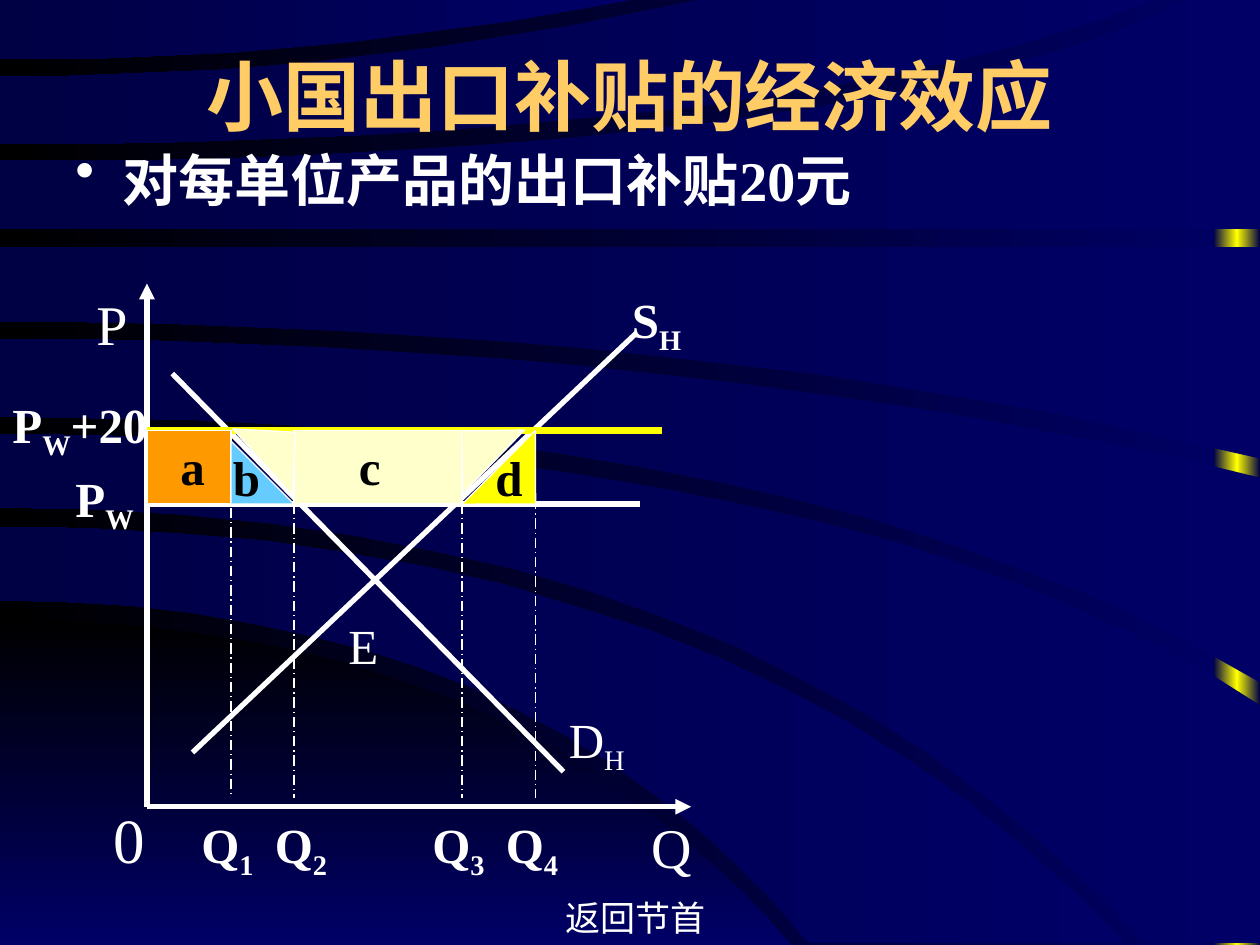
from lxml import etree
from pptx import Presentation
from pptx.dml.color import RGBColor
from pptx.enum.dml import MSO_LINE_DASH_STYLE
from pptx.enum.shapes import MSO_CONNECTOR_TYPE, MSO_SHAPE
from pptx.enum.text import MSO_ANCHOR, PP_ALIGN
from pptx.oxml.ns import qn
from pptx.util import Pt

STRAIGHT = MSO_CONNECTOR_TYPE.STRAIGHT
RECTANGLE = MSO_SHAPE.RECTANGLE
RIGHT_TRIANGLE = MSO_SHAPE.RIGHT_TRIANGLE
DASH_DOT = MSO_LINE_DASH_STYLE.LONG_DASH_DOT
TOP = MSO_ANCHOR.TOP
MIDDLE = MSO_ANCHOR.MIDDLE
LEFT = PP_ALIGN.LEFT
CENTER = PP_ALIGN.CENTER

WIDTH, HEIGHT = 720, 540
CURVE_STEPS = 16

COLOURS = {
    "white": "FFFFFF", "black": "000000", "navy": "000066", "midnight": "000044",
    "gold": "FFCC66", "yellow": "FFFF00", "orange": "FF9900", "sky": "66CCFF",
    "cream": "FFFFCC",
}

CORNER = ([(0, 354), (293, 354), (452, HEIGHT)], [(0, HEIGHT), (452, HEIGHT)])
BANDS = [
    ([(0, 301), (421, 301), (643, 539)], [(0, 343), (305, 344), (462, 539)]),
    ([(0, 248), (485, 250), (WIDTH, 403)], [(0, 290), (432, 291), (654, 539)]),
    ([(0, 194), (391, 194), (WIDTH, 273)], [(0, 238), (467, 238), (WIDTH, 390)]),
    ([(0, 141), (WIDTH, 141)], [(0, 184), (403, 184), (WIDTH, 262)]),
    ([(0, 92), (491, 92), (679, 0)], [(0, 131), (WIDTH, 131), (WIDTH, 0), (679, 0)]),
    ([(0, 44), (200, 44), (400, 0)], [(0, 82), (450, 82), (660, 0)]),
    ([(0, 0), (361, 0)], [(0, 34), (175, 35), (361, 0)]),
]


def rgb(colour):
    return RGBColor.from_string(COLOURS[colour])


def edge_points(edge):
    if len(edge) != 3:
        return edge
    points = []
    for step in range(CURVE_STEPS + 1):
        t = step / CURVE_STEPS
        weights = ((1 - t) ** 2, 2 * t * (1 - t), t ** 2)
        points.append(tuple(round(sum(weight * value for weight, value in zip(weights, axis)))
                            for axis in zip(*edge)))
    return points


class SlideBuilder:
    font_name = "Times New Roman"

    def __init__(self, slide):
        self.slide = slide

    def gradient(self, fill, element, colours, angle=180):
        fill.gradient()
        fill.gradient_angle = angle
        stops = element.find(".//" + qn("a:gsLst"))
        for stop in list(stops):
            stops.remove(stop)
        for index, colour in enumerate(colours):
            position = 100000 * index // (len(colours) - 1)
            stop = etree.SubElement(stops, qn("a:gs"), pos=str(position))
            etree.SubElement(stop, qn("a:srgbClr"), val=COLOURS[colour])

    def background(self, colours):
        self.gradient(self.slide.background.fill, self.slide.element, colours)

    def strip(self, left, colours):
        shape = self.slide.shapes.add_shape(RECTANGLE, Pt(left), 0, Pt(WIDTH - left), Pt(HEIGHT))
        shape.shadow.inherit = False
        shape.line.fill.background()
        self.gradient(shape.fill, shape.element, colours)

    def band(self, edges, colours, angle=180):
        upper, lower = map(edge_points, edges)
        far_corner = tuple(map(max, upper[-1], lower[-1]))
        points = [*upper, far_corner, *reversed(lower)]
        builder = self.slide.shapes.build_freeform(*points[0], scale=Pt(1))
        builder.add_line_segments(points[1:], close=True)
        shape = builder.convert_to_shape()
        shape.shadow.inherit = False
        shape.line.fill.background()
        self.gradient(shape.fill, shape.element, colours, angle)

    def area(self, kind, left, top, width, height, colour, rotation=0):
        shape = self.slide.shapes.add_shape(kind, Pt(left), Pt(top), Pt(width), Pt(height))
        shape.shadow.inherit = False
        shape.rotation = rotation
        shape.fill.solid()
        shape.fill.fore_color.rgb = rgb(colour)
        shape.line.color.rgb = rgb("white")
        shape.line.width = Pt(0.75)

    def line(self, start, end, colour="white", width=3, dash=None, arrow=False):
        connector = self.slide.shapes.add_connector(STRAIGHT, *map(Pt, (*start, *end)))
        connector.line.color.rgb = rgb(colour)
        connector.line.width = Pt(width)
        if dash is not None:
            connector.line.dash_style = dash
        properties = connector.element.spPr
        if arrow:
            etree.SubElement(properties.find(qn("a:ln")), qn("a:tailEnd"), type="triangle")
        etree.SubElement(properties, qn("a:effectLst"))

    def text(self, left, top, width, runs, size=28, colour="white", bold=False,
             align=LEFT, anchor=TOP, bullet=False, height=None):
        if height is None:
            height = round(1.2 * size + 7.2) + (4 if len(runs) > 1 else 0)
        box = self.slide.shapes.add_textbox(Pt(left), Pt(top), Pt(width), Pt(height))
        frame = box.text_frame
        frame.word_wrap = True
        frame.vertical_anchor = anchor
        paragraph = frame.paragraphs[0]
        paragraph.alignment = align
        if bullet:
            paragraph.line_spacing = 0.7
            properties = paragraph._p.get_or_add_pPr()
            properties.set("marL", str(Pt(27)))
            properties.set("indent", str(-Pt(27)))
            bullet_colour = etree.SubElement(properties, qn("a:buClr"))
            etree.SubElement(bullet_colour, qn("a:srgbClr"), val=COLOURS[colour])
            etree.SubElement(properties, qn("a:buChar"), char="•")
        for index, content in enumerate(runs):
            run = paragraph.add_run()
            run.text = content
            run.font.name = self.font_name
            run.font.size = Pt(size)
            run.font.bold = bold
            run.font.color.rgb = rgb(colour)
            if index == 1:
                run.font._element.set("baseline", "-25000")


def main():
    presentation = Presentation()
    presentation.slide_width = Pt(WIDTH)
    presentation.slide_height = Pt(HEIGHT)
    builder = SlideBuilder(presentation.slides.add_slide(presentation.slide_layouts[6]))

    builder.background(["navy", "black"])
    builder.strip(693.5, ["midnight", "yellow", "midnight"])
    builder.band(CORNER, ["black", "navy"], 270)
    for edges in BANDS:
        builder.band(edges, ["navy", "midnight"])

    builder.text(54, 18, 612, ["小国出口补贴的经济效应"], 44, "gold", True, CENTER, MIDDLE,
                 height=72)
    builder.text(36, 90, 612, ["对每单位产品的出口补贴20元"], 32, bold=True, bullet=True,
                 height=42)

    axis_x, axis_y, axis_top = 84, 461, 162
    subsidy_price, world_price = 246, 288
    price_gap = world_price - subsidy_price
    q1, q2, q3, q4 = 132, 168, 264, 306
    side = q2 - q1
    triangle_top = world_price - side

    builder.line((axis_x, axis_y), (axis_x, axis_top), arrow=True)
    builder.line((axis_x, axis_y), (395, axis_y), arrow=True)
    builder.text(48, axis_top, 29, ["P"], 32)
    builder.text(365, axis_y, 43, ["Q"], 32)
    builder.text(57.5, 454, 34, ["0"], 36)

    builder.line((110, 430), (364, 190))
    builder.line((98.5, 213.5), (322, 441))
    builder.text(354, axis_top, 54, ["S", "H"], bold=True)
    builder.text(318, 402, 54, ["D", "H"])
    builder.text(192, 348, 43, ["E"])

    builder.line((axis_x, world_price), (366, world_price))
    builder.text(36, world_price - 24, 54, ["P", "W"], bold=True)
    builder.line((axis_x, subsidy_price), (378, subsidy_price), "yellow", 4.5)
    builder.text(0, subsidy_price - 24, 102, ["P", "W", "+20"], bold=True)

    quantities = [(q1, 108, subsidy_price), (q2, 150, world_price),
                  (q3, 240, world_price), (q4, 282, triangle_top)]
    for number, (x, label_left, top) in enumerate(quantities, 1):
        builder.line((x, top), (x, axis_y - 5), width=0.75, dash=DASH_DOT)
        builder.text(label_left, axis_y + 1, 60, ["Q", str(number)], bold=True)

    builder.area(RECTANGLE, axis_x, subsidy_price, q1 - axis_x, price_gap, "orange")
    builder.area(RIGHT_TRIANGLE, q1, triangle_top, side, side, "sky")
    builder.area(RECTANGLE, q2, subsidy_price, q3 - q2, price_gap, "cream")
    for x, rotation in [(q1, 183), (q3, 89.2)]:
        builder.area(RIGHT_TRIANGLE, x, subsidy_price, side, side, "cream", rotation)
    builder.area(RIGHT_TRIANGLE, q3, subsidy_price, price_gap, price_gap, "yellow", 269.8)
    for letter, left, top in [("a", 96, subsidy_price), ("b", 126, triangle_top),
                              ("c", 198, subsidy_price), ("d", 276, triangle_top)]:
        builder.text(left, top, 24, [letter], colour="black", bold=True)

    builder.text(270, 509, 186, ["返回节首"], 20, align=CENTER)
    presentation.save("out.pptx")


if __name__ == "__main__":
    main()
